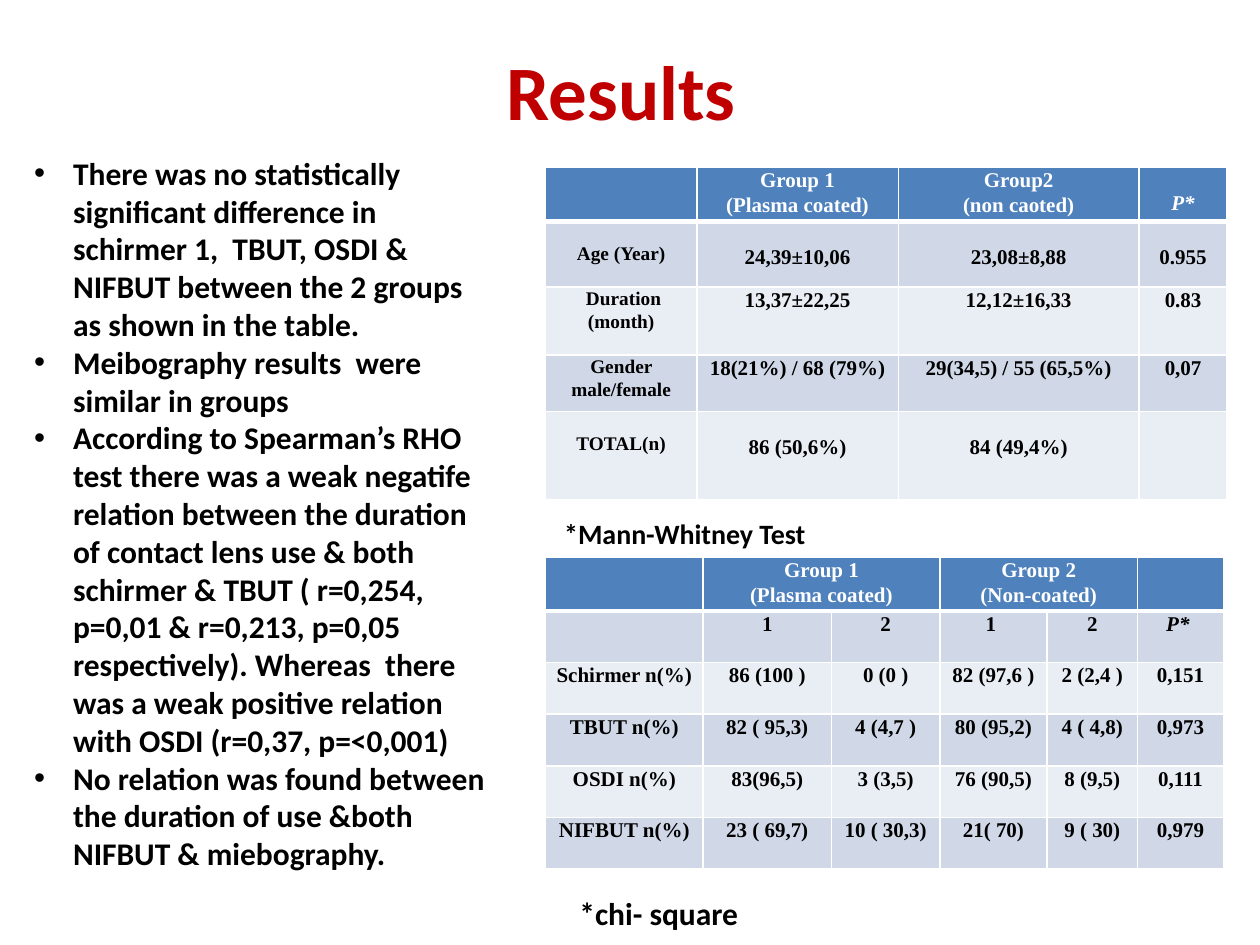
from dataclasses import dataclass

from lxml.etree import SubElement
from pptx import Presentation
from pptx.dml.color import RGBColor
from pptx.enum.text import MSO_ANCHOR, MSO_AUTO_SIZE, PP_ALIGN
from pptx.oxml.ns import qn
from pptx.util import Inches, Pt


@dataclass(frozen=True)
class Theme:
    """Colours, fonts and type sizes of the slide."""
    title: RGBColor = RGBColor(0xC0, 0x00, 0x00)
    ink: RGBColor = RGBColor(0x00, 0x00, 0x00)
    white: RGBColor = RGBColor(0xFF, 0xFF, 0xFF)
    header: RGBColor = RGBColor(0x4F, 0x81, 0xBD)
    bands: tuple = (RGBColor(0xD0, 0xD8, 0xE8), RGBColor(0xE9, 0xED, 0xF4))
    sans: str = "Calibri"
    serif: str = "Times New Roman"
    title_size: int = 44
    body_size: int = 18
    note_size: int = 16
    cell_size: int = 12
    label_size: int = 11


THEME = Theme()

FINDINGS = [
    "There was no statistically significant difference in schirmer 1,  TBUT, OSDI & NIFBUT "
    "between the 2 groups as shown in the table.",
    "Meibography results  were similar in groups",
    "According to Spearman’s RHO test there was a weak negatife relation between the duration "
    "of contact lens use & both schirmer & TBUT ( r=0,254, p=0,01 & r=0,213, p=0,05 "
    "respectively). Whereas  there was a weak positive relation  with OSDI (r=0,37, p=<0,001)",
    "No relation was found between the duration of use &both NIFBUT & miebography.",
]

DEMOGRAPHICS = [
    ["", "Group 1\n(Plasma coated)", "Group2\n(non caoted)", "P*"],
    ["Age (Year)", "24,39±10,06", "23,08±8,88", "0.955"],
    [" Duration (month)", "13,37±22,25", "12,12±16,33", "0.83"],
    ["Gender male/female", "18(21%) / 68 (79%)", "29(34,5) / 55 (65,5%)", "0,07"],
    ["TOTAL(n)", "86 (50,6%)", "84 (49,4%)", ""],
]

DRY_EYE_TESTS = [
    ["", " Group 1 \n(Plasma coated)", "", "Group 2\n(Non-coated)", "", ""],
    ["", "1", "2", "1 ", "2", "P* "],
    ["Schirmer n(%)", "86 (100 )", "0 (0 )", "82 (97,6 )", "2 (2,4 )", "0,151"],
    ["TBUT n(%)", "82 ( 95,3)", "4 (4,7 )", "80 (95,2)", "4 ( 4,8)", "0,973"],
    ["OSDI n(%)", "83(96,5)", "3 (3,5)", "76 (90,5)", "8 (9,5)", "0,111"],
    ["NIFBUT n(%)", "23 ( 69,7)", "10 ( 30,3)", "21( 70)", "9 ( 30)", "0,979"],
]


def apply(target, **values):
    """Set each named attribute on the target."""
    for name, value in values.items():
        setattr(target, name, value)


def write(paragraph, text, size, color, family=THEME.sans, italic=False):
    """Write one bold run into a paragraph."""
    run = paragraph.add_run()
    run.text = text
    apply(run.font, name=family, size=Pt(size), bold=True, italic=italic)
    run.font.color.rgb = color


def place(shape, box):
    """Move a shape to a box given in inches."""
    apply(shape, **dict(zip(("left", "top", "width", "height"), map(Inches, box))))


def add_title(slide, box):
    """Fill the title placeholder."""
    place(slide.shapes.title, box)
    frame = slide.shapes.title.text_frame
    apply(frame, vertical_anchor=MSO_ANCHOR.MIDDLE, word_wrap=True)
    heading = frame.paragraphs[0]
    heading.alignment = PP_ALIGN.CENTER
    write(heading, "Results ", THEME.title_size, THEME.title)


def add_findings(slide, box):
    """Fill the body placeholder with the bulleted findings."""
    body = slide.placeholders[1]
    place(body, box)
    frame = body.text_frame
    apply(frame, word_wrap=True, auto_size=MSO_AUTO_SIZE.SHAPE_TO_FIT_TEXT,
          vertical_anchor=MSO_ANCHOR.TOP)
    for index, finding in enumerate(FINDINGS):
        paragraph = frame.add_paragraph() if index else frame.paragraphs[0]
        properties = paragraph._p.get_or_add_pPr()
        properties.set("marL", str(Inches(0.31)))
        properties.set("indent", str(Inches(-0.31)))
        SubElement(properties, qn("a:buFont"), typeface="Arial")
        SubElement(properties, qn("a:buChar"), char="•")
        apply(paragraph, space_before=Pt(0), alignment=PP_ALIGN.LEFT)
        write(paragraph, finding, THEME.body_size, THEME.ink)


def add_note(slide, box, text, size):
    """Add the name of the statistical test below a table."""
    note = slide.shapes.add_textbox(*map(Inches, box))
    apply(note.text_frame, word_wrap=True, auto_size=MSO_AUTO_SIZE.SHAPE_TO_FIT_TEXT)
    write(note.text_frame.paragraphs[0], text, size, THEME.ink)


def set_borders(cell, row):
    """Draw white cell borders, thick between header and body."""
    widths = {"L": 1, "R": 1, "T": 3 if row == 1 else 1, "B": 3 if row == 0 else 1}
    for side, width in widths.items():
        line = SubElement(cell._tc.get_or_add_tcPr(), qn(f"a:ln{side}"), w=str(Pt(width)))
        fill = SubElement(line, qn("a:solidFill"))
        SubElement(fill, qn("a:srgbClr"), val=str(THEME.white))


def fill_cell(cell, text, row, size, drop):
    """Format one cell and write its lines."""
    apply(cell, margin_left=Inches(0.07), margin_right=Inches(0.07),
          margin_top=Inches(drop), margin_bottom=0, vertical_anchor=MSO_ANCHOR.TOP)
    set_borders(cell, row)
    cell.fill.solid()
    cell.fill.fore_color.rgb = THEME.bands[(row - 1) % 2] if row else THEME.header
    color = THEME.ink if row else THEME.white
    for index, line in enumerate(text.split("\n") if text else []):
        frame = cell.text_frame
        paragraph = frame.add_paragraph() if index else frame.paragraphs[0]
        apply(paragraph, alignment=PP_ALIGN.CENTER, line_spacing=1.07)
        write(paragraph, line, size, color, THEME.serif, line.startswith("P*"))


def add_results_table(slide, box, rows, widths, heights, label_size, drops=None, merges=()):
    """Add a banded table; drops maps (row, column) to the lowering of its text."""
    drops = drops or {}
    table = slide.shapes.add_table(len(rows), len(widths), *map(Inches, box)).table
    for column, width in zip(table.columns, widths):
        column.width = Inches(width)
    for table_row, height in zip(table.rows, heights):
        table_row.height = Inches(height)
    for r, texts in enumerate(rows):
        for c, text in enumerate(texts):
            size = THEME.cell_size if c else label_size
            fill_cell(table.cell(r, c), text, r, size, drops.get((r, c), 0))
    for first in merges:
        table.cell(0, first).merge(table.cell(0, first + 1))


def main():
    """Build and save the results slide."""
    deck = Presentation()
    apply(deck, slide_width=Inches(10), slide_height=Inches(7.5))
    slide = deck.slides.add_slide(deck.slide_layouts[1])
    add_title(slide, (0.5, 0.17, 9, 1.08))
    drops = {(r, c): 0.18 if c else 0.16 for r in (1, 4) for c in range(4)}
    add_results_table(slide, (4.33, 1.33, 5.41, 2.6), DEMOGRAPHICS,
                      (1.2, 1.6, 1.91, 0.7), (0.39, 0.52, 0.54, 0.45, 0.7),
                      THEME.label_size, drops | {(0, 3): 0.18})
    add_results_table(slide, (4.33, 4.42, 5.38, 2.46), DRY_EYE_TESTS,
                      (1.25, 1.02, 0.86, 0.85, 0.72, 0.68), [0.41] * 6,
                      THEME.cell_size, merges=(1, 3))
    add_note(slide, (4.33, 4.05, 4.33, 0.37), " *Mann-Whitney Test", THEME.note_size)
    add_findings(slide, (0.17, 1.17, 3.83, 6.46))
    add_note(slide, (4.5, 7.05, 3.33, 0.4), "*chi- square", THEME.body_size)
    deck.save("out.pptx")


if __name__ == "__main__":
    main()
